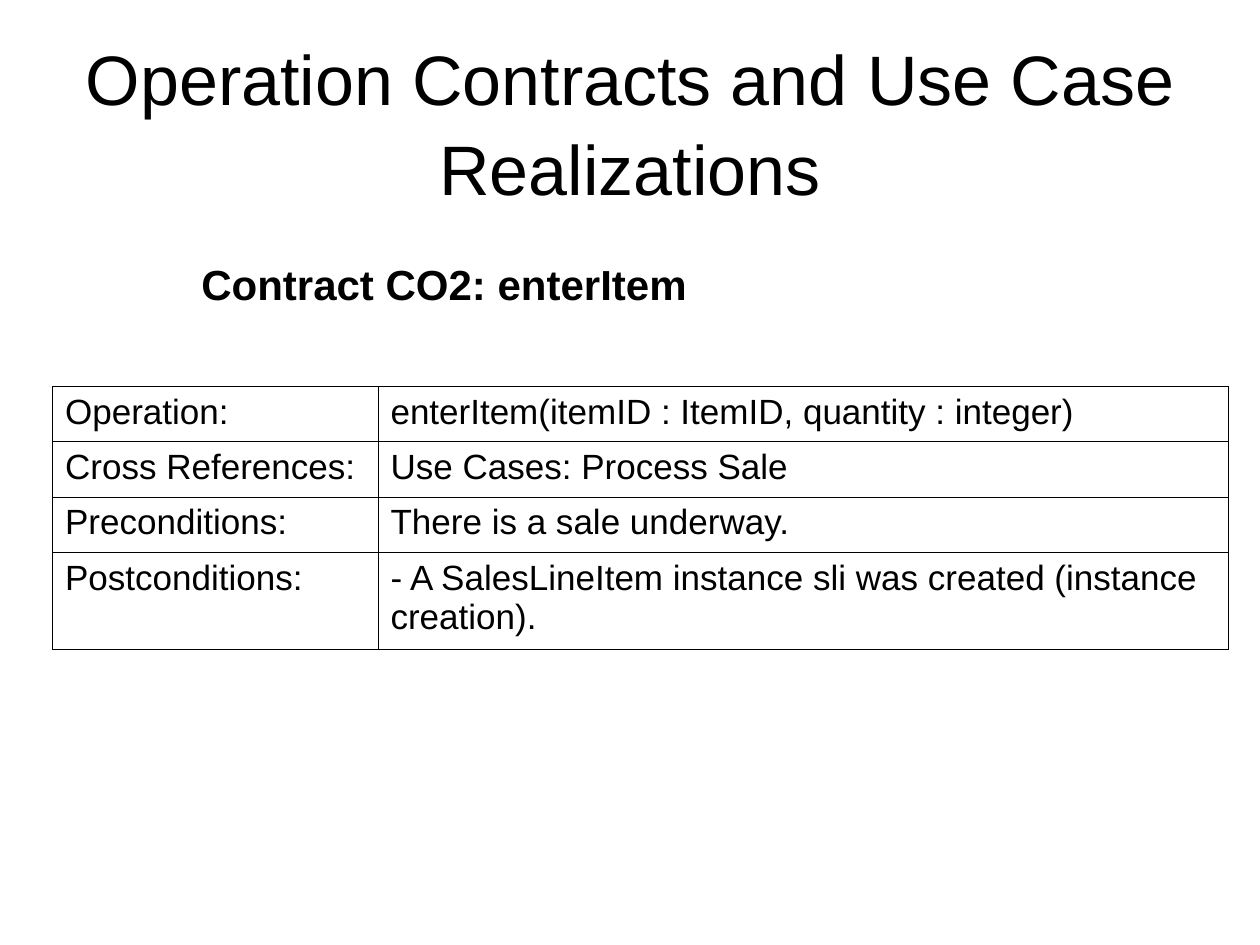
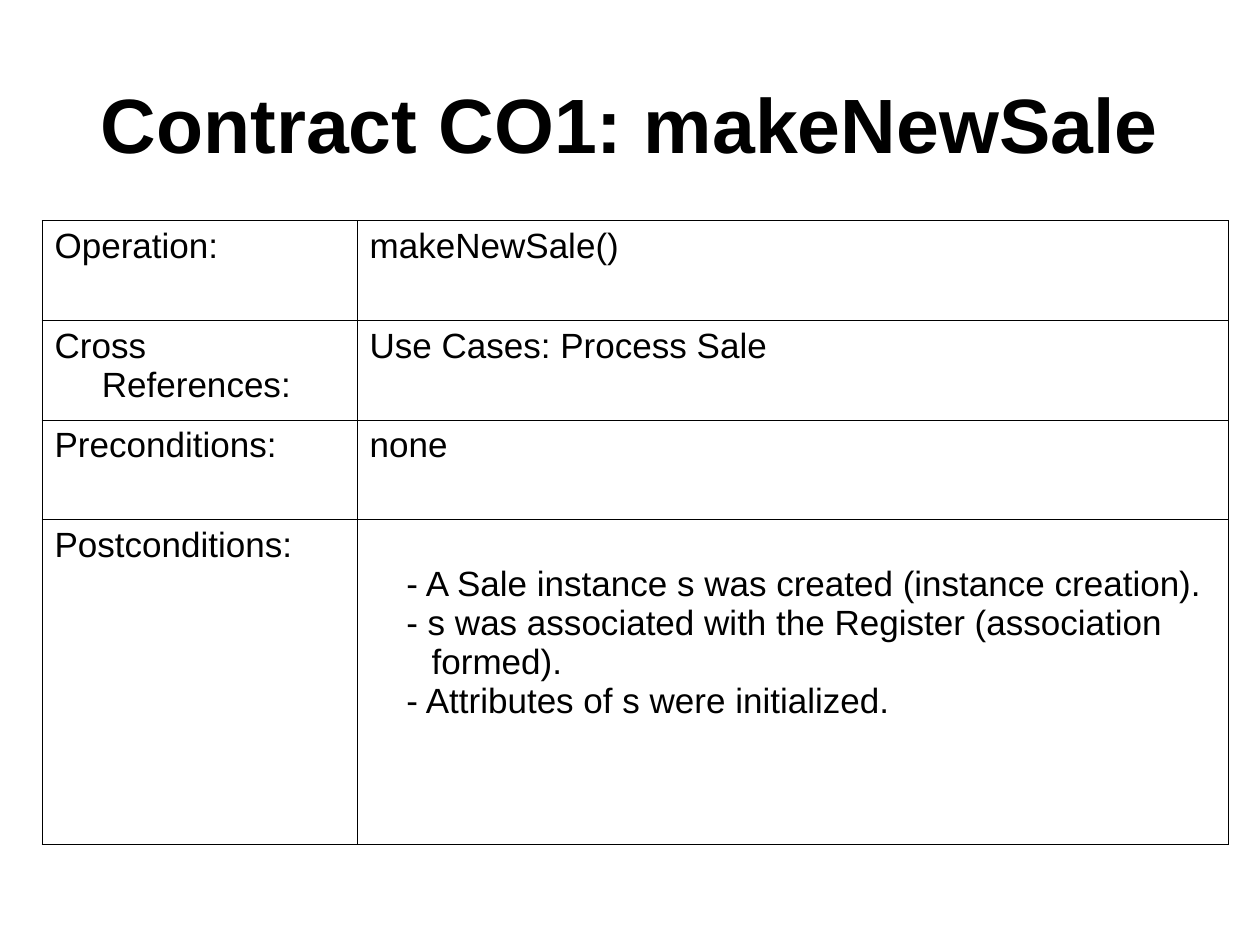
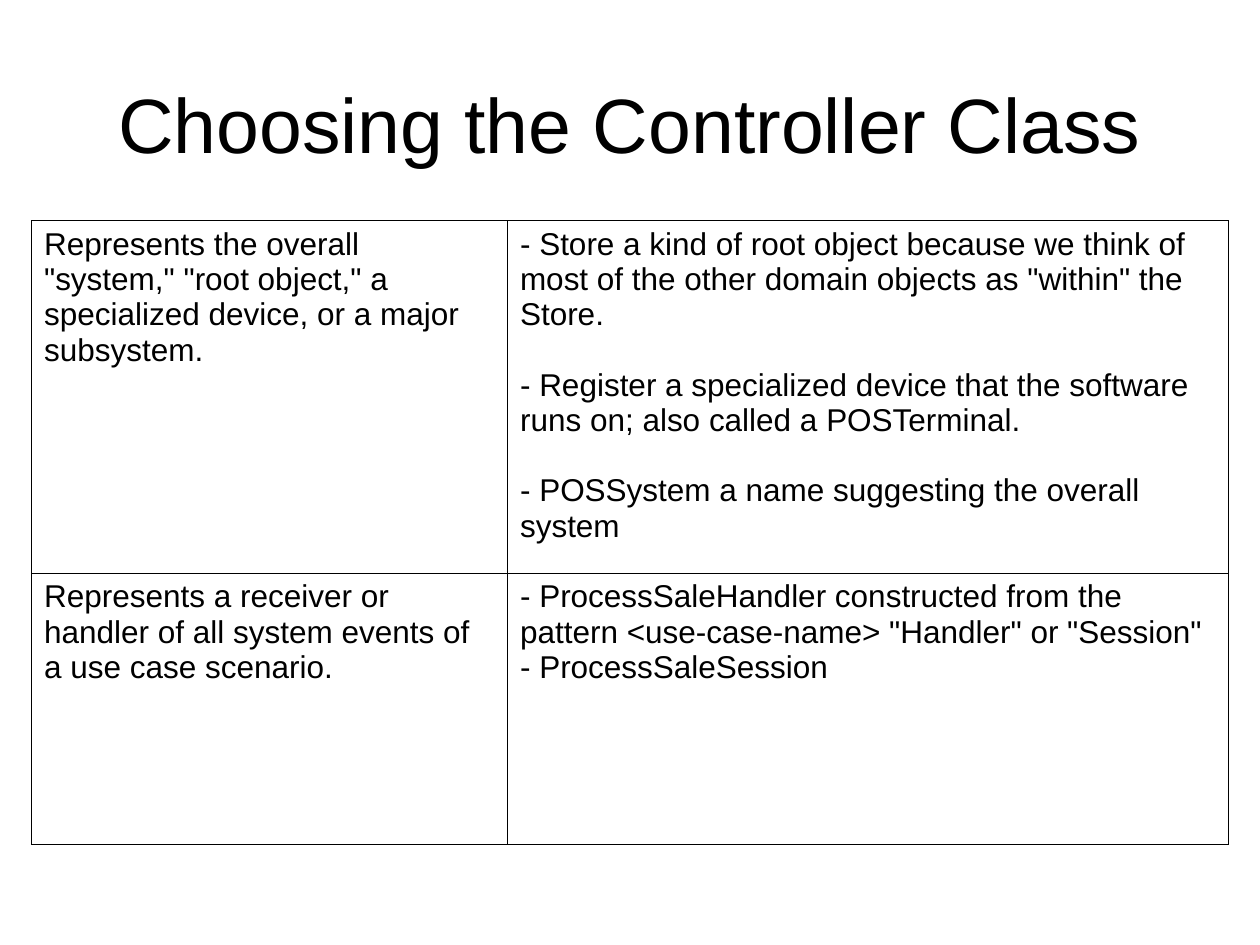
from lxml.etree import SubElement
from pptx import Presentation
from pptx.dml.color import RGBColor
from pptx.enum.text import MSO_ANCHOR as Anchor, MSO_AUTO_SIZE as AutoSize, PP_ALIGN as Align
from pptx.oxml.ns import qn
from pptx.util import Pt

FONT = "Arial"
BLACK = "000000"
TABLE_RIGHT = 702
BORDER_WIDTH = 0.45

# Each table cell is a list of paragraphs.
SLIDES = [
    {
        "title": "Operation Contracts and Use Case Realizations",
        "title_size": 40,
        "title_bold": False,
        "heading": "Contract CO2: enterItem",
        "left": 30, "top": 221, "label_width": 186,
        "row_heights": [31.5, 31.5, 31.5, 55.5],
        "size": 20, "hanging": 0,
        "rows": [
            (["Operation:"], ["enterItem(itemID : ItemID, quantity : integer)"]),
            (["Cross References:"], ["Use Cases: Process Sale"]),
            (["Preconditions:"], ["There is a sale underway."]),
            (["Postconditions:"],
             ["- A SalesLineItem instance sli was created (instance creation)."]),
        ],
    },
    {
        "title": "Contract CO1: makeNewSale",
        "title_size": 44,
        "title_bold": True,
        "left": 24, "top": 126, "label_width": 180,
        "row_heights": [57, 57, 57, 185.5],
        "size": 20, "hanging": 27,
        "rows": [
            (["Operation:"], ["makeNewSale()"]),
            (["Cross References:"], ["Use Cases: Process Sale"]),
            (["Preconditions:"], ["none"]),
            (["Postconditions:"],
             ["- A Sale instance s was created (instance creation).",
              "- s was associated with the Register (association formed).",
              "- Attributes of s were initialized."]),
        ],
    },
    {
        "title": "Choosing the Controller Class",
        "title_size": 44,
        "title_bold": False,
        "left": 18, "top": 126, "label_width": 272,
        "row_heights": [201.5, 155],
        "size": 18, "hanging": 0,
        "rows": [
            (['Represents the overall "system," "root object," a specialized device, '
              "or a major subsystem."],
             ["- Store a kind of root object because we think of most of the other "
              'domain objects as "within" the Store.',
              "- Register a specialized device that the software runs on; "
              "also called a POSTerminal.",
              "- POSSystem a name suggesting the overall system"]),
            (["Represents a receiver or handler of all system events of a use case scenario."],
             ["- ProcessSaleHandler constructed from the pattern <use-case-name> "
              '"Handler" or "Session"',
              "- ProcessSaleSession"]),
        ],
    },
]


def add_span(para, text, size, bold=False):
    span = para.add_run()
    span.text = text
    span.font.name = FONT
    span.font.size = Pt(size)
    span.font.bold = bold
    span.font.color.rgb = RGBColor.from_string(BLACK)


def add_borders(cell):
    properties = cell._tc.get_or_add_tcPr()
    for side in ("a:lnL", "a:lnR", "a:lnT", "a:lnB"):
        line = SubElement(properties, qn(side), w=str(Pt(BORDER_WIDTH)))
        fill = SubElement(line, qn("a:solidFill"))
        SubElement(fill, qn("a:srgbClr"), val=BLACK)


deck = Presentation()
deck.slide_width, deck.slide_height = Pt(720), Pt(540)

for content in SLIDES:
    slide = deck.slides.add_slide(deck.slide_layouts[5])

    title = slide.shapes.title
    title.left, title.top, title.width, title.height = Pt(36), Pt(21.6), Pt(648), Pt(90)
    frame = title.text_frame
    frame.word_wrap = True
    frame.auto_size = AutoSize.NONE
    frame.vertical_anchor = Anchor.MIDDLE
    frame.margin_top = Pt(7.2)
    para = frame.paragraphs[0]
    para.alignment = Align.CENTER
    para.line_spacing = 1.07
    add_span(para, content["title"], content["title_size"], content["title_bold"])

    if "heading" in content:
        box = slide.shapes.add_textbox(Pt(108), Pt(144), Pt(330), Pt(65))
        box.text_frame.word_wrap = True
        add_span(box.text_frame.paragraphs[0], content["heading"], 24, bold=True)

    heights = content["row_heights"]
    label_width = content["label_width"]
    table_width = TABLE_RIGHT - content["left"]
    table = slide.shapes.add_table(
        len(heights), 2, Pt(content["left"]), Pt(content["top"]),
        Pt(table_width), Pt(sum(heights))).table
    table.first_row = table.horz_banding = False
    table.columns[0].width = Pt(label_width)
    table.columns[1].width = Pt(table_width - label_width)

    for row, height, texts in zip(table.rows, heights, content["rows"]):
        row.height = Pt(height)
        for cell, lines in zip(row.cells, texts):
            add_borders(cell)
            cell.fill.background()
            hanging, indent = content["hanging"], content["hanging"]
            if hanging and len(lines) > 1:
                # The list starts one line down, set in from the cell edge.
                cell.margin_top = Pt(26)
                indent, hanging = 35.5, 14.5
            for number, line in enumerate(lines):
                para = cell.text_frame.paragraphs[0] if number == 0 else cell.text_frame.add_paragraph()
                if indent:
                    properties = para._p.get_or_add_pPr()
                    properties.set("marL", str(Pt(indent)))
                    properties.set("indent", str(Pt(-hanging)))
                if number and len(lines) == 3 and not indent:
                    para.space_before = Pt(20)
                add_span(para, line, content["size"])

deck.save("out.pptx")
